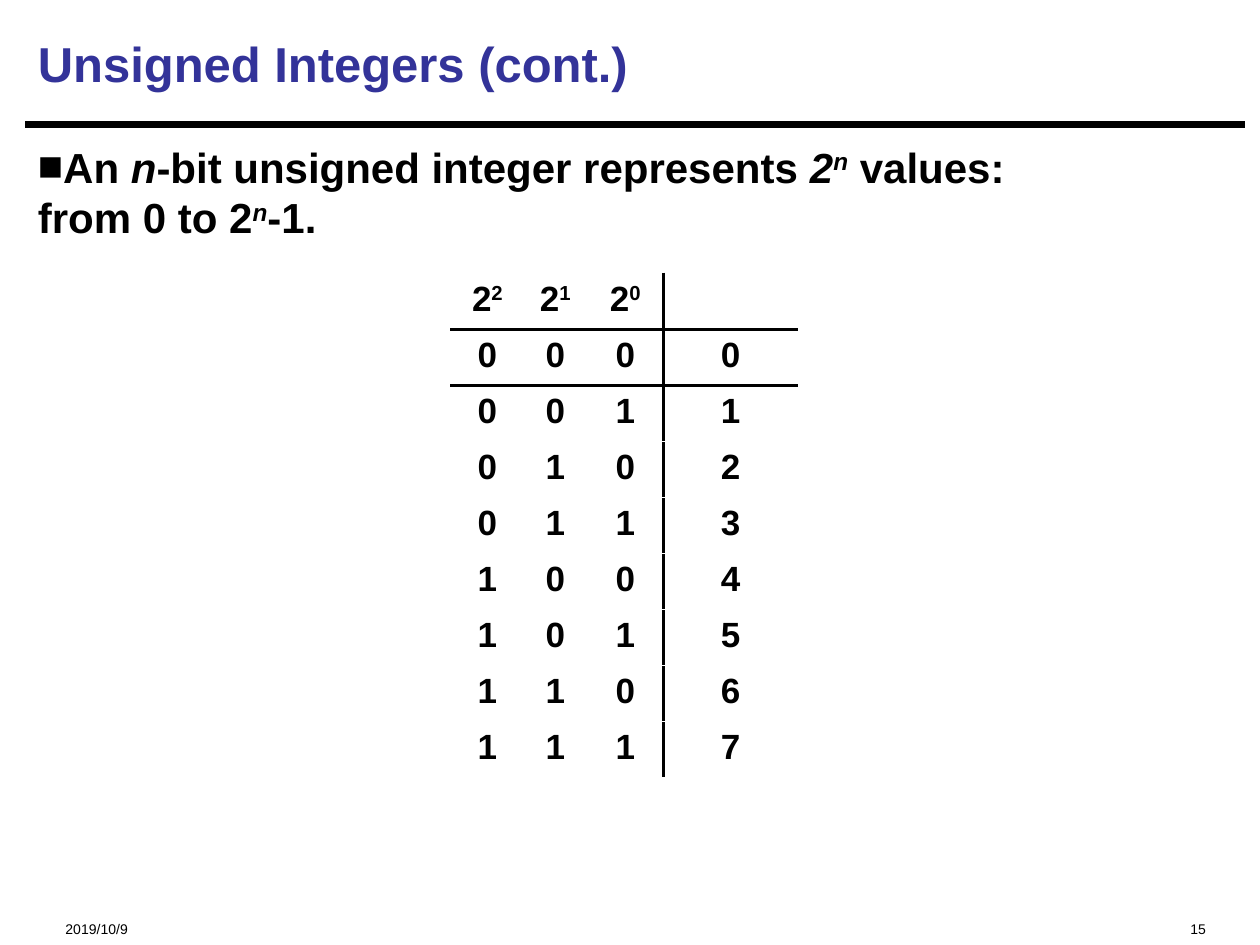
import pptx
import pptx.dml.color
import pptx.enum.shapes
import pptx.enum.text
import pptx.oxml.ns
import pptx.util
from lxml import etree

Cm = pptx.util.Cm
Pt = pptx.util.Pt
ALIGN = pptx.enum.text.PP_ALIGN
ANCHOR = pptx.enum.text.MSO_ANCHOR
qn = pptx.oxml.ns.qn
BLACK = "000000"


def color(value):
    return pptx.dml.color.RGBColor.from_string(value)


def add_run(paragraph, text, size, bold=True, italic=False, raised=False, fill=BLACK):
    run = paragraph.add_run()
    run.text = text
    run.font.name = "Arial"
    run.font.size = Pt(size)
    run.font.bold = bold
    run.font.italic = italic
    run.font.color.rgb = color(fill)
    if raised:
        run._r.get_or_add_rPr().set("baseline", "30000")


presentation = pptx.Presentation()
presentation.slide_width = Cm(25.4)
presentation.slide_height = Cm(19.05)
slide = presentation.slides.add_slide(presentation.slide_layouts[1])

rule = slide.shapes.add_connector(
    pptx.enum.shapes.MSO_CONNECTOR.STRAIGHT, Cm(0.51), Cm(2.51), Cm(25.1), Cm(2.51)
)
rule.line.color.rgb = color(BLACK)
rule.line.width = Pt(3.75)
etree.SubElement(rule._element.spPr, qn("a:effectLst"))

title, body = slide.placeholders
for shape, top, height, anchor in [
    (title, 0.2, 2.13, ANCHOR.MIDDLE),
    (body, 2.72, 15.21, ANCHOR.TOP),
]:
    shape.left, shape.top, shape.width, shape.height = Cm(0.51), Cm(top), Cm(24.56), Cm(height)
    shape.text_frame.auto_size = pptx.enum.text.MSO_AUTO_SIZE.NONE
    shape.text_frame.vertical_anchor = anchor
    shape.text_frame.paragraphs[0].alignment = ALIGN.LEFT

add_run(title.text_frame.paragraphs[0], "Unsigned Integers (cont.)", 28, fill="333399")

paragraph = body.text_frame.paragraphs[0]
paragraph.space_before = Pt(0)
properties = paragraph._p.get_or_add_pPr()
properties.set("marL", "0")
properties.set("indent", "0")
etree.SubElement(properties, qn("a:buFont")).set("typeface", "Arial")
etree.SubElement(properties, qn("a:buChar")).set("char", "■")
add_run(paragraph, "An ", 24)
add_run(paragraph, "n", 24, italic=True)
add_run(paragraph, "-bit unsigned integer represents ", 24)
add_run(paragraph, "2", 24, italic=True)
add_run(paragraph, "n", 24, italic=True, raised=True)
add_run(paragraph, " values:", 24)
paragraph.add_line_break()
add_run(paragraph, "from 0 to 2", 24)
add_run(paragraph, "n", 24, italic=True, raised=True)
add_run(paragraph, "-1.", 24)

bits = 3
row_count = 2**bits + 1
table = slide.shapes.add_table(
    row_count, bits + 1, Cm(9.09), Cm(5.51), Cm(6.99), Cm(10.16)
).table
table.first_row = False
table.horz_banding = False
for column, width in zip(table.columns, [1.47, 1.27, 1.55, 2.7]):
    column.width = Cm(width)

for row in range(row_count):
    table.rows[row].height = Cm(1.13)
    for column in range(bits + 1):
        cell = table.cell(row, column)
        cell.fill.background()
        paragraph = cell.text_frame.paragraphs[0]
        paragraph.alignment = ALIGN.CENTER
        value = row - 1
        if row == 0 and column < bits:
            add_run(paragraph, "2", 20)
            add_run(paragraph, str(bits - 1 - column), 20, raised=True)
        elif row > 0 and column < bits:
            add_run(paragraph, str(value >> (bits - 1 - column) & 1), 20)
        elif row > 0:
            add_run(paragraph, str(value), 20)

        edges = {
            "a:lnL": column == bits,
            "a:lnR": column == bits - 1,
            "a:lnT": row == 1,
            "a:lnB": row == 0,
        }
        cell_properties = cell._tc.get_or_add_tcPr()
        borders = [edge for edge, drawn in edges.items() if drawn]
        for position, edge in enumerate(borders):
            border = etree.Element(qn(edge), w=str(Pt(2.25)))
            fill = etree.SubElement(border, qn("a:solidFill"))
            etree.SubElement(fill, qn("a:srgbClr")).set("val", BLACK)
            cell_properties.insert(position, border)

for text, left, width, alignment in [
    ("2019/10/9", 1.07, 6.35, ALIGN.LEFT),
    ("15", 16.94, 7.62, ALIGN.RIGHT),
]:
    footer = slide.shapes.add_textbox(Cm(left), Cm(18.16), Cm(width), Cm(0.69))
    footer.text_frame.word_wrap = True
    footer.text_frame.margin_top = Cm(0.45)
    footer.text_frame.margin_bottom = Cm(0)
    paragraph = footer.text_frame.paragraphs[0]
    paragraph.alignment = alignment
    add_run(paragraph, text, 8, bold=False)

presentation.save("out.pptx")
